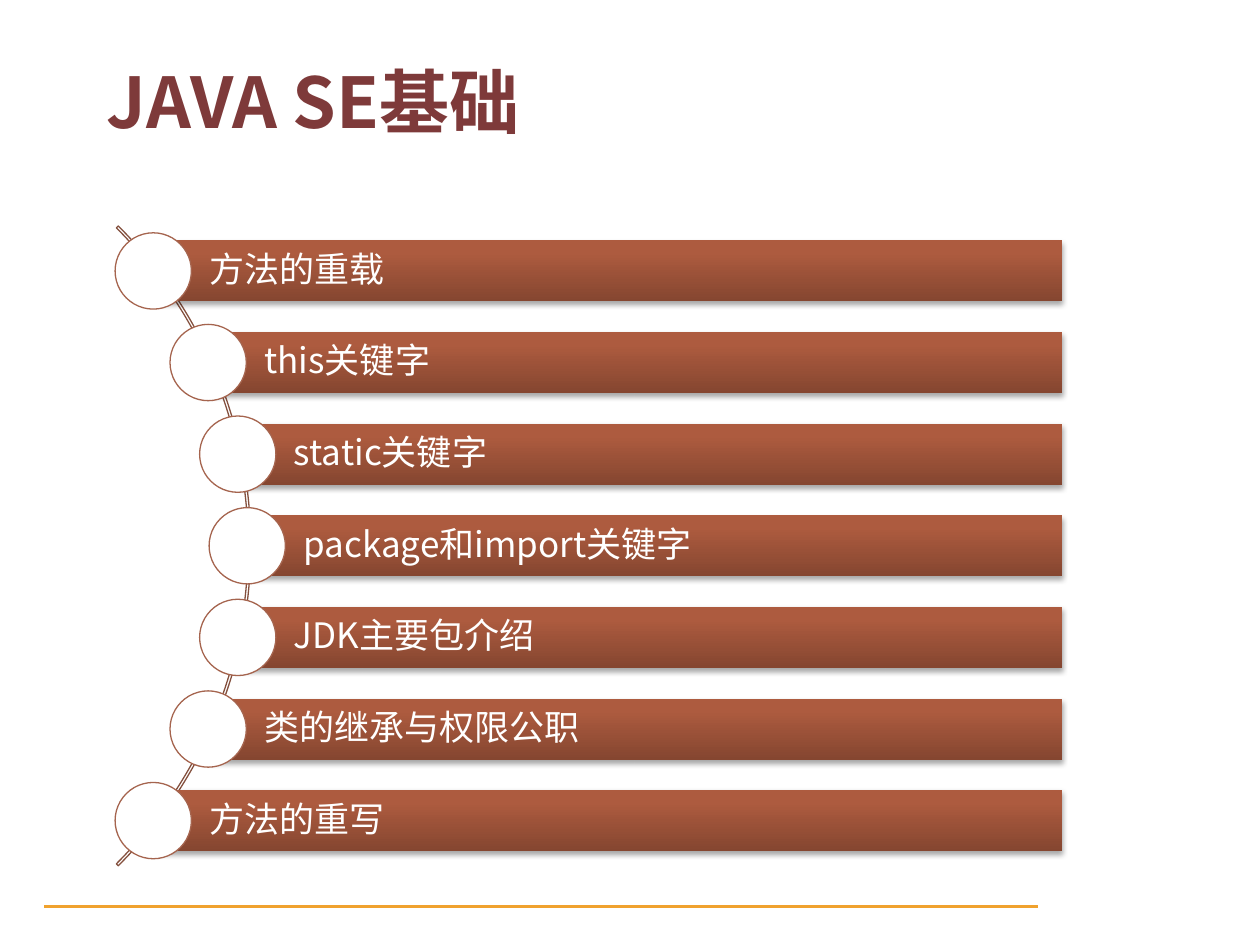
"""Build the JAVA SE basics slide with a curved list of topics."""
import math

import pptx
import pptx.dml.color
import pptx.enum.shapes
import pptx.enum.text
import pptx.oxml
import pptx.oxml.ns
import pptx.util

Pt = pptx.util.Pt
RGBColor = pptx.dml.color.RGBColor
SHAPE = pptx.enum.shapes.MSO_SHAPE
NS = pptx.oxml.ns.nsdecls("a")
qn = pptx.oxml.ns.qn

FONT = "Noto Sans CJK SC"
WHITE = RGBColor(0xFF, 0xFF, 0xFF)
GOLD = RGBColor(0xF0, 0xA2, 0x2E)
MAROON = RGBColor(0x7E, 0x3A, 0x3A)
ARC_LINE = RGBColor(0x84, 0x50, 0x3E)
DOT_LINE = RGBColor(0xA5, 0x64, 0x4E)
BAR_STOPS = [
    (0, RGBColor(0x85, 0x46, 0x30)),
    (80, RGBColor(0xAD, 0x5B, 0x3F)),
    (100, RGBColor(0xAF, 0x5A, 0x3D)),
]

TOPICS = [
    " 方法的重载",
    " this关键字",
    " static关键字",
    " package和import关键字",
    " JDK主要包介绍",
    " 类的继承与权限公职",
    " 方法的重写",
]
CENTER_X, CENTER_Y = -115.2, 311.9
ARC_RADIUS, DOT_TRACK = 258.5, 256.5
ROW_PITCH, BAR_HEIGHT, BAR_RIGHT = 52.35, 34.9, 607
DOT_SIZE = 43.6


def add_shape(s, kind, x, y, w, h, fill=None, line=None, weight=0.75):
    """Add a preset shape without a shadow."""
    sp = s.shapes.add_shape(kind, Pt(x), Pt(y), Pt(w), Pt(h))
    sp.shadow.inherit = False
    if fill is None:
        sp.fill.background()
    else:
        sp.fill.solid()
        sp.fill.fore_color.rgb = fill
    if line is None:
        sp.line.fill.background()
    else:
        sp.line.color.rgb = line
        sp.line.width = Pt(weight)
    return sp


def set_text(sp, text, size, color, bold=False, spacing=1.0, insets=(7.2, 3.6, 7.2, 3.6)):
    """Write one left-aligned, vertically centred paragraph."""
    tf = sp.text_frame
    tf.word_wrap = True
    tf.vertical_anchor = pptx.enum.text.MSO_ANCHOR.MIDDLE
    tf.margin_left, tf.margin_top, tf.margin_right, tf.margin_bottom = map(Pt, insets)
    p = tf.paragraphs[0]
    p.alignment = pptx.enum.text.PP_ALIGN.LEFT
    p.line_spacing = spacing
    r = p.add_run()
    r.text = text
    r.font.name = FONT
    r.font.size = Pt(size)
    r.font.bold = bold
    r.font.color.rgb = color
    ea = pptx.oxml.parse_xml(f'<a:ea {NS} typeface="{FONT}"/>')
    r.font._element.find(qn("a:latin")).addnext(ea)


def set_gradient(sp, stops):
    """Fill a shape with a gradient running from bottom to top."""
    sp.fill.gradient()
    sp.fill.gradient_angle = 90
    gs_list = sp._element.spPr.find(f'{qn("a:gradFill")}/{qn("a:gsLst")}')
    for gs in list(gs_list):
        gs_list.remove(gs)
    for pos, color in stops:
        gs_list.append(pptx.oxml.parse_xml(
            f'<a:gs {NS} pos="{pos * 1000}"><a:srgbClr val="{color}"/></a:gs>'))


def set_shadow(sp, blur, dist, alpha):
    """Give a shape a soft black shadow below it."""
    sp._element.spPr.find(qn("a:effectLst")).append(pptx.oxml.parse_xml(
        f'<a:outerShdw {NS} blurRad="{Pt(blur)}" dist="{Pt(dist)}" dir="5400000" rotWithShape="0">'
        f'<a:srgbClr val="000000"><a:alpha val="{alpha * 1000}"/></a:srgbClr></a:outerShdw>'))


def add_arc(s):
    """Add the thin arc that links the dots."""
    arc = add_shape(s, SHAPE.BLOCK_ARC, CENTER_X - ARC_RADIUS, CENTER_Y - ARC_RADIUS,
                    2 * ARC_RADIUS, 2 * ARC_RADIUS, line=ARC_LINE)
    for i, value in enumerate((189, 27, 0.003)):
        arc.adjustments[i] = value


def add_topic(s, text, offset):
    """Add a bar and its dot at a vertical offset from the arc centre."""
    x = CENTER_X + math.sqrt(DOT_TRACK ** 2 - offset ** 2)
    y = CENTER_Y + offset
    bar = add_shape(s, SHAPE.RECTANGLE, x, y - BAR_HEIGHT / 2, BAR_RIGHT - x, BAR_HEIGHT)
    set_gradient(bar, BAR_STOPS)
    set_shadow(bar, 3.1, 1.8, 35)
    set_text(bar, text, 20, WHITE, spacing=0.9, insets=(27.6, 4.3, 4.3, 4.3))
    add_shape(s, SHAPE.OVAL, x - DOT_SIZE / 2, y - DOT_SIZE / 2, DOT_SIZE, DOT_SIZE,
              fill=WHITE, line=DOT_LINE)


def main():
    """Build and save the slide."""
    prs = pptx.Presentation()
    prs.slide_width, prs.slide_height = Pt(720), Pt(540)
    s = prs.slides.add_slide(prs.slide_layouts[6])
    add_shape(s, SHAPE.RECTANGLE, 24, 516.2, 570, 3.6, fill=GOLD, line=WHITE, weight=2)
    add_arc(s)
    for i, text in enumerate(TOPICS):
        add_topic(s, text, (i - (len(TOPICS) - 1) / 2) * ROW_PITCH)
    title = s.shapes.add_textbox(Pt(54), Pt(30.2), Pt(584), Pt(54))
    set_text(title, "JAVA SE基础", 40, MAROON, bold=True)
    prs.save("out.pptx")


main()
